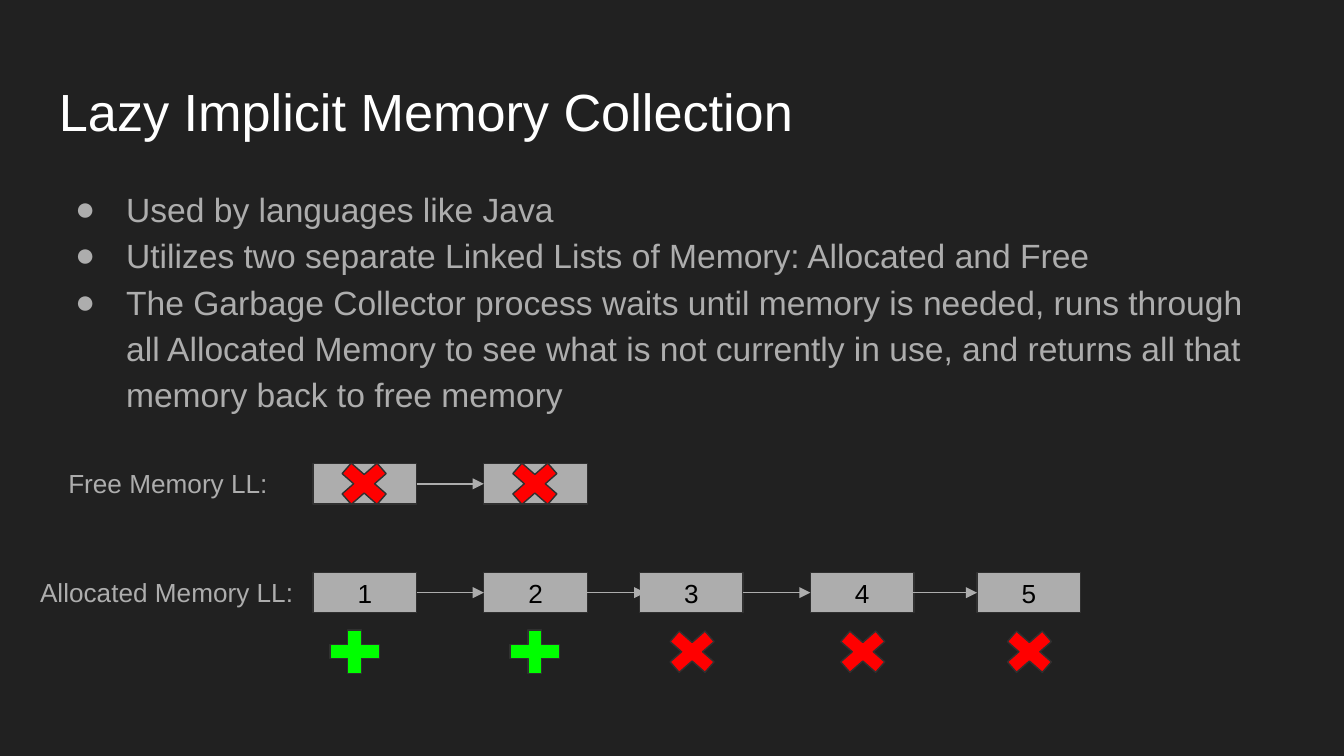
from lxml.etree import SubElement
from pptx import Presentation
from pptx.dml.color import RGBColor
from pptx.enum.shapes import MSO_CONNECTOR, MSO_SHAPE
from pptx.enum.text import MSO_ANCHOR, PP_ALIGN
from pptx.oxml.ns import qn
from pptx.util import Inches, Pt

SLIDE_WIDTH = 10
SLIDE_HEIGHT = SLIDE_WIDTH * 9 / 16
COLOURS = {
    "background": "212121", "title": "FFFFFF", "grey": "ADADAD",
    "outline": "303030", "label": "000000", "freed": "FF0000", "kept": "00FF00",
}
MARKS = {"freed": MSO_SHAPE.MATH_MULTIPLY, "kept": MSO_SHAPE.MATH_PLUS}
NODE_WIDTH, NODE_HEIGHT = 0.77, 0.3
MARK_WIDTH, MARK_HEIGHT = 0.5, 0.44
ARROW_LENGTH = 0.5


def colour(name):
    """Return the named colour."""
    return RGBColor.from_string(COLOURS[name])


def apply_format(target, values):
    """Set each attribute of the target from a dict."""
    for name, value in values.items():
        setattr(target, name, value)


def write_text(shape, lines, size, colour_name, frame_format=None, paragraph_format=None):
    """Write one paragraph per line and return the paragraphs."""
    frame = shape.text_frame
    margins = {f"margin_{side}": Inches(0.1) for side in ("left", "top", "right", "bottom")}
    apply_format(frame, {"word_wrap": True, **margins, **(frame_format or {})})
    frame.text = "\n".join(lines)
    for paragraph in frame.paragraphs:
        apply_format(paragraph, paragraph_format or {})
        font = paragraph.runs[0].font
        apply_format(font, {"name": "Arial", "size": Pt(size)})
        font.color.rgb = colour(colour_name)
    return frame.paragraphs


def add_text(slide, box, lines, size, colour_name, paragraph_format=None):
    """Add a text box in the given box (left, top, width, height)."""
    shape = slide.shapes.add_textbox(*map(Inches, box))
    return write_text(shape, lines, size, colour_name, paragraph_format=paragraph_format)


def add_bullets(slide, box, lines):
    """Add the bulleted list with hanging indents."""
    for paragraph in add_text(slide, box, lines, 18, "grey", {"line_spacing": 1.15}):
        properties = paragraph._p.get_or_add_pPr()
        properties.set("marL", str(Inches(0.5)))
        properties.set("indent", str(Inches(-0.38)))
        bullet_colour = SubElement(properties, qn("a:buClr"))
        SubElement(bullet_colour, qn("a:srgbClr"), val=COLOURS["grey"])
        SubElement(properties, qn("a:buFont"), typeface="Arial")
        SubElement(properties, qn("a:buChar"), char="●")


def add_filled(slide, preset, box, fill):
    """Add a flat, thinly outlined preset shape."""
    shape = slide.shapes.add_shape(preset, *map(Inches, box))
    shape.shadow.inherit = False
    shape.fill.solid()
    shape.fill.fore_color.rgb = colour(fill)
    shape.line.color.rgb = colour("outline")
    shape.line.width = Pt(0.75)
    return shape


def add_arrow(slide, left, y):
    """Add a horizontal arrow that links two nodes."""
    ends = map(Inches, (left, y, left + ARROW_LENGTH, y))
    arrow = slide.shapes.add_connector(MSO_CONNECTOR.STRAIGHT, *ends)
    arrow.line.color.rgb = colour("grey")
    arrow.line.width = Pt(0.75)
    SubElement(arrow.line._get_or_add_ln(), qn("a:tailEnd"), type="triangle")
    SubElement(arrow._element.spPr, qn("a:effectLst"))


def add_linked_list(slide, top, label, label_left, nodes, arrows, marks, mark_offset):
    """Draw a labelled memory list; every part hangs from the top of its nodes."""
    add_text(slide, (label_left, top - 0.07, 2.47, 0.44), [label], 14, "grey")
    for number, left in enumerate(nodes, 1):
        node = add_filled(slide, MSO_SHAPE.RECTANGLE,
                          (left, top, NODE_WIDTH, NODE_HEIGHT), "grey")
        write_text(node, [str(number)], 14, "label",
                   {"vertical_anchor": MSO_ANCHOR.MIDDLE}, {"alignment": PP_ALIGN.CENTER})
    for left in arrows:
        add_arrow(slide, left, top + NODE_HEIGHT / 2)
    for left, kind in marks:
        mark = add_filled(slide, MARKS[kind],
                          (left, top + mark_offset, MARK_WIDTH, MARK_HEIGHT), kind)
        mark.adjustments[0] = 0.235


def build_slide(presentation):
    """Build the slide about lazy memory collection."""
    slide = presentation.slides.add_slide(presentation.slide_layouts[6])
    slide.background.fill.solid()
    slide.background.fill.fore_color.rgb = colour("background")
    add_text(slide, (0.34, 0.49, 9.32, 0.63), ["Lazy Implicit Memory Collection"], 28, "title")
    add_bullets(slide, (0.34, 1.26, 9.32, 1.87), [
        "Used by languages like Java",
        "Utilizes two separate Linked Lists of Memory: Allocated and Free",
        "The Garbage Collector process waits until memory is needed, runs through all "
        "Allocated Memory to see what is not currently in use, and returns all that "
        "memory back to free memory",
    ])
    add_linked_list(slide, 3.45, "Free Memory LL:", 0.41, [2.33, 3.6], [3.1],
                    [(2.46, "freed"), (3.73, "freed")], -0.07)
    add_linked_list(slide, 4.26, "Allocated Memory LL:", 0.2,
                    [2.33, 3.6, 4.76, 6.03, 7.27], [3.1, 4.3, 5.53, 6.77],
                    [(2.39, "kept"), (3.73, "kept"), (4.9, "freed"),
                     (6.17, "freed"), (7.41, "freed")], 0.37)


presentation = Presentation()
apply_format(presentation, {"slide_width": Inches(SLIDE_WIDTH),
                            "slide_height": Inches(SLIDE_HEIGHT)})
build_slide(presentation)
presentation.save("out.pptx")
